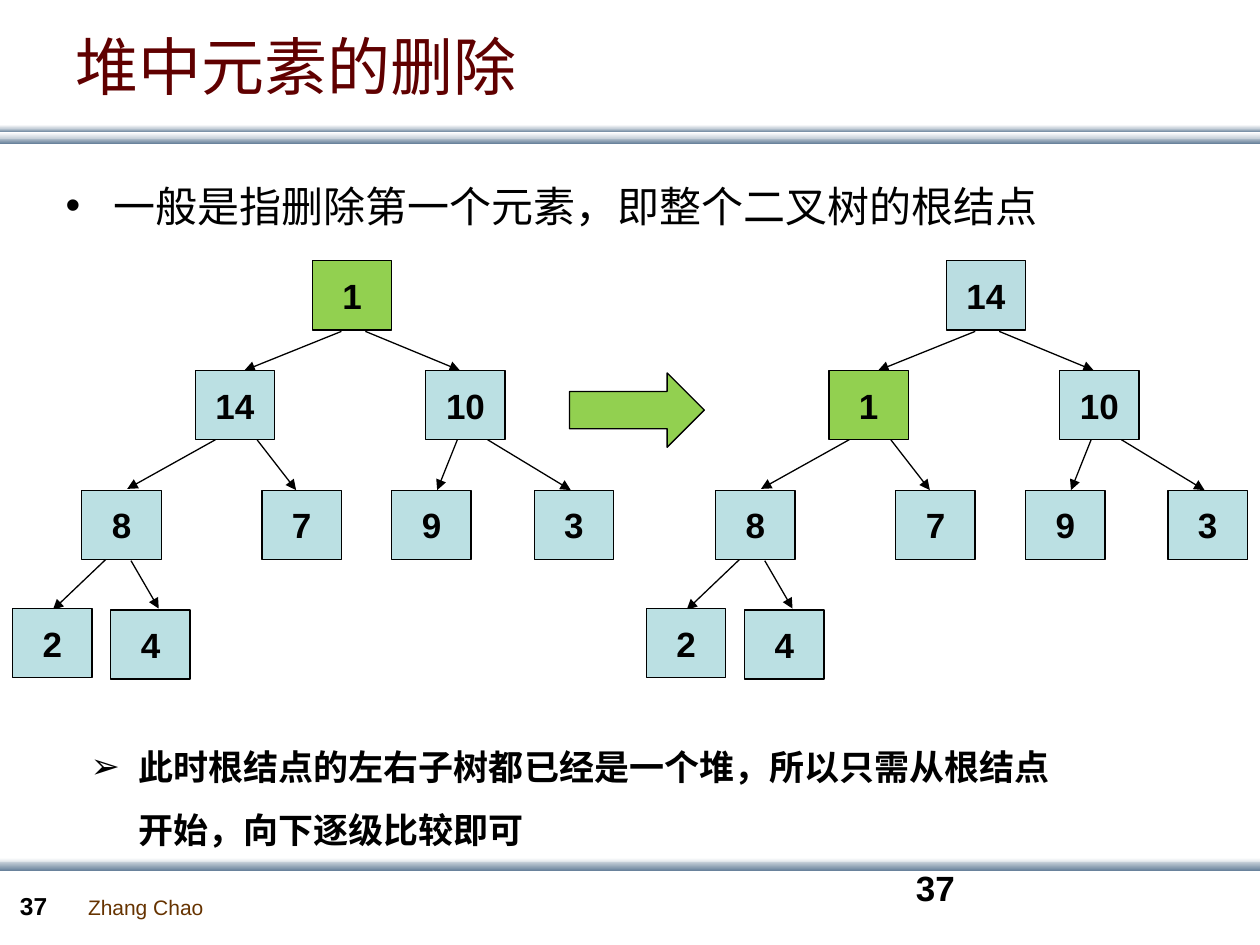
from typing import NamedTuple

from lxml.etree import SubElement
from pptx import Presentation
from pptx.dml.color import RGBColor
from pptx.enum.shapes import MSO_CONNECTOR, MSO_SHAPE
from pptx.enum.text import MSO_ANCHOR, MSO_AUTO_SIZE, PP_ALIGN
from pptx.oxml.ns import qn
from pptx.util import Inches, Pt

LATIN = "Arial"
CHINESE = "Noto Sans CJK SC"
BLACK = "000000"
WHITE = "FFFFFF"
PALE = "C8D1DA"
STEEL = "6A839C"
TEAL = "BBE0E3"
SOFT_TEAL = "BADDE1"
GREEN = "92D050"
NODE_WIDTH, NODE_HEIGHT = 0.63, 0.55
TREE_GAP = 5.03


class Band(NamedTuple):
    top: float
    height: float
    upper: str
    lower: str


class Node(NamedTuple):
    left: float
    top: float
    label: str
    fill: str = TEAL


class Edge(NamedTuple):
    x1: float
    y1: float
    x2: float
    y2: float


BANDS = [
    Band(1.09, 0.05, PALE, STEEL),
    Band(1.02, 0.03, PALE, STEEL),
    Band(1.05, 0.05, WHITE, PALE),
    Band(0.99, 0.03, WHITE, PALE),
    Band(6.81, 0.05, WHITE, PALE),
    Band(6.84, 0.07, PALE, STEEL),
]
LOWER_NODES = [
    Node(3.38, 2.94, "10"),
    Node(0.65, 3.89, "8"),
    Node(2.08, 3.89, "7"),
    Node(3.11, 3.89, "9"),
    Node(4.24, 3.89, "3"),
    Node(0.1, 4.83, "2"),
    Node(0.88, 4.84, "4"),
]
EDGES = [
    Edge(2.71, 2.63, 1.94, 2.94),
    Edge(2.9, 2.63, 3.65, 2.94),
    Edge(1.71, 3.49, 1.01, 3.88),
    Edge(2.04, 3.49, 2.35, 3.89),
    Edge(3.63, 3.49, 3.47, 3.89),
    Edge(3.87, 3.49, 4.53, 3.89),
    Edge(0.84, 4.44, 0.42, 4.84),
    Edge(1.04, 4.45, 1.26, 4.83),
]


def color(value: str) -> RGBColor:
    return RGBColor.from_string(value)


def place(shape, left: float, top: float, width: float, height: float):
    shape.left, shape.top = Inches(left), Inches(top)
    shape.width, shape.height = Inches(width), Inches(height)
    return shape


def write(shape, text: str, *, size: float, font: str = LATIN, ink: str = BLACK,
          bold: bool = False, align=PP_ALIGN.LEFT, anchor=MSO_ANCHOR.TOP,
          wrap: bool = True, bullet: str = "", spacing: float = 1.0) -> None:
    frame = shape.text_frame
    frame.auto_size = MSO_AUTO_SIZE.NONE
    frame.word_wrap = wrap
    frame.vertical_anchor = anchor
    paragraph = frame.paragraphs[0]
    paragraph.alignment = align
    paragraph.line_spacing = spacing
    paragraph.space_before = Pt(0)
    if bullet:
        properties = paragraph._p.get_or_add_pPr()
        properties.set("marL", str(Inches(0.38)))
        properties.set("indent", str(Inches(-0.38)))
        bullet_color = SubElement(properties, qn("a:buClr"))
        SubElement(bullet_color, qn("a:srgbClr"), val=BLACK)
        SubElement(properties, qn("a:buFont"), typeface=LATIN)
        SubElement(properties, qn("a:buChar"), char=bullet)
    run = paragraph.add_run()
    run.text = text
    run.font.size = Pt(size)
    run.font.bold = bold
    run.font.color.rgb = color(ink)
    run.font.name = font
    SubElement(run._r.get_or_add_rPr(), qn("a:ea"), typeface=font)


def add_label(shapes, left: float, top: float, width: float, height: float,
              text: str, **style) -> None:
    box = shapes.add_textbox(Inches(left), Inches(top), Inches(width), Inches(height))
    write(box, text, **style)


def add_band(shapes, band: Band) -> None:
    bar = shapes.add_shape(MSO_SHAPE.RECTANGLE, 0, Inches(band.top),
                           Inches(10.01), Inches(band.height))
    bar.shadow.inherit = False
    bar.line.fill.background()
    bar.fill.gradient()
    bar.fill.gradient_angle = 270
    for stop, shade in zip(bar.fill.gradient_stops, (band.upper, band.lower)):
        stop.color.rgb = color(shade)


def add_outlined(shapes, preset, left: float, top: float, width: float,
                 height: float, fill: str):
    shape = shapes.add_shape(preset, Inches(left), Inches(top),
                             Inches(width), Inches(height))
    shape.shadow.inherit = False
    shape.fill.solid()
    shape.fill.fore_color.rgb = color(fill)
    shape.line.color.rgb = color(BLACK)
    shape.line.width = Pt(0.75)
    return shape


def add_node(shapes, node: Node, offset: float) -> None:
    square = add_outlined(shapes, MSO_SHAPE.RECTANGLE, node.left + offset, node.top,
                          NODE_WIDTH, NODE_HEIGHT, node.fill)
    write(square, node.label, size=20, bold=True, align=PP_ALIGN.CENTER,
          anchor=MSO_ANCHOR.MIDDLE, wrap=False)


def add_edge(shapes, edge: Edge, offset: float) -> None:
    arrow = shapes.add_connector(MSO_CONNECTOR.STRAIGHT,
                                 Inches(edge.x1 + offset), Inches(edge.y1),
                                 Inches(edge.x2 + offset), Inches(edge.y2))
    arrow.line.color.rgb = color(BLACK)
    arrow.line.width = Pt(0.75)
    SubElement(arrow.line._get_or_add_ln(), qn("a:tailEnd"), type="triangle")
    SubElement(arrow._element.spPr, qn("a:effectLst"))


def add_heap(shapes, root: Node, left_child: Node, offset: float) -> None:
    heap = shapes.add_group_shape().shapes
    for edge in EDGES:
        add_edge(heap, edge, offset)
    for node in [root, left_child, *LOWER_NODES]:
        add_node(heap, node, offset)


def main() -> None:
    deck = Presentation()
    deck.slide_width, deck.slide_height = Inches(10), Inches(7.5)
    slide = deck.slides.add_slide(deck.slide_layouts[1])
    shapes = slide.shapes

    for band in BANDS:
        add_band(shapes, band)
    add_label(shapes, 0.6, 7.05, 1.11, 0.3, "Zhang Chao", size=12, ink="663300", wrap=False)
    add_label(shapes, 0.06, 7.02, 0.55, 0.34, "37", size=14, bold=True)
    add_label(shapes, 7.17, 6.83, 2.33, 0.5, "37", size=20, bold=True)

    title = place(shapes.title, 0.5, -0.11, 9, 1.25)
    write(title, "堆中元素的删除", size=36, font=CHINESE, ink="600000",
          anchor=MSO_ANCHOR.MIDDLE)
    body = place(slide.placeholders[1], 0.42, 1.38, 9.07, 5.04)
    write(body, "一般是指删除第一个元素，即整个二叉树的根结点", size=24,
          font=CHINESE, bullet="•")
    add_label(shapes, 0.62, 5.7, 8.01, 1.1,
              "此时根结点的左右子树都已经是一个堆，所以只需从根结点开始，向下逐级比较即可",
              size=20, font=CHINESE, bold=True, bullet="➢", spacing=1.5)

    add_outlined(shapes, MSO_SHAPE.RIGHT_ARROW, 4.52, 2.96, 1.07, 0.59, GREEN)
    add_heap(shapes, Node(2.48, 2.07, "1", GREEN), Node(1.55, 2.94, "14"), 0)
    add_heap(shapes, Node(2.48, 2.07, "14", SOFT_TEAL), Node(1.55, 2.94, "1", GREEN), TREE_GAP)
    deck.save("out.pptx")


if __name__ == "__main__":
    main()
